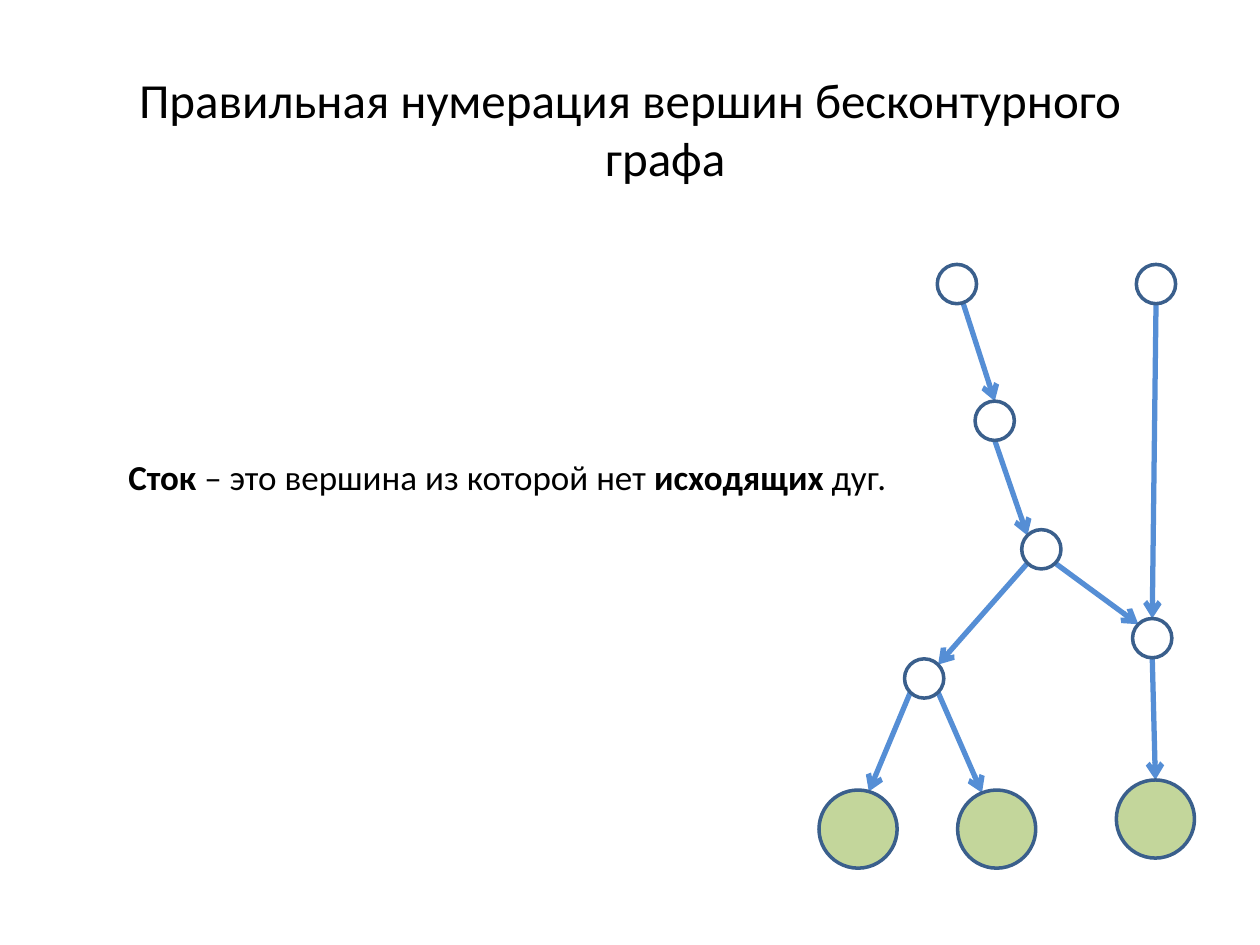
from math import cos, radians, sin

from pptx import Presentation
from pptx.dml.color import RGBColor
from pptx.enum.shapes import MSO_CONNECTOR, MSO_SHAPE
from pptx.enum.text import MSO_ANCHOR, PP_ALIGN
from pptx.oxml.ns import qn
from pptx.util import Inches, Pt
from lxml import etree

STRAIGHT = MSO_CONNECTOR.STRAIGHT
OVAL = MSO_SHAPE.OVAL
MIDDLE = MSO_ANCHOR.MIDDLE
CENTER, LEFT = PP_ALIGN.CENTER, PP_ALIGN.LEFT

THEME = {
    "font": "Calibri",
    "title": Pt(28),
    "body": Pt(20),
    "ink": RGBColor.from_string("000000"),
    "vertex": RGBColor.from_string("FFFFFF"),
    "sink": RGBColor.from_string("C3D69B"),
    "outline": RGBColor.from_string("3A5F8C"),
    "arc": RGBColor.from_string("558ED5"),
    "outline_width": Pt(2),
    "arc_width": Pt(3),
}

deck = Presentation()
deck.slide_width, deck.slide_height = Inches(10), Inches(7.5)
page = deck.slides.add_slide(deck.slide_layouts[6])

# Grid of 100 columns by 75 rows
CELL = deck.slide_width / 100


def grid(*cells):
    return [round(cell * CELL) for cell in cells]


def add_text(place, parts, size, align):
    """Write one paragraph from (text, bold) parts and return it."""
    box = page.shapes.add_textbox(*grid(*place))
    frame = box.text_frame
    frame.word_wrap = True
    frame.vertical_anchor = MIDDLE
    para = frame.paragraphs[0]
    para.alignment = align
    for text, bold in parts:
        span = para.add_run()
        span.text = text
        span.font.name = THEME["font"]
        span.font.size = size
        span.font.bold = bold
        span.font.color.rgb = THEME["ink"]
    return para


# Title with a hanging indent
title = add_text((7.5, 2.1, 85, 16.1),
                 [("Правильная нумерация вершин бесконтурного графа", False)],
                 THEME["title"], CENTER)
indent = grid(5.6)[0]
properties = title._p.get_or_add_pPr()
properties.set("marL", str(indent))
properties.set("indent", str(-indent))

# Vertices: centre column, centre row, radius
SMALL, LARGE = 1.56, 3.1
vertices = {
    "left source": (75.95, 22.55, SMALL),
    "right source": (91.75, 22.55, SMALL),
    "upper": (78.95, 33.4, SMALL),
    "fork": (82.65, 43.6, SMALL),
    "lower": (73.35, 53.85, SMALL),
    "join": (91.45, 50.65, SMALL),
    "left sink": (68.1, 65.8, LARGE),
    "middle sink": (79.1, 65.8, LARGE),
    "right sink": (91.7, 65, LARGE),
}

# Arcs: start vertex and angle, end vertex and angle (clockwise from the right)
arcs = [
    ("left source", 72, "upper", 270),
    ("upper", 90, "fork", 225),
    ("fork", 135, "lower", 315),
    ("fork", 45, "join", 225),
    ("right source", 90, "join", 270),
    ("lower", 135, "left sink", 286),
    ("lower", 45, "middle sink", 248),
    ("join", 90, "right sink", 270),
]
for start, start_angle, end, end_angle in arcs:
    ends = []
    for name, angle in ((start, start_angle), (end, end_angle)):
        column, row, radius = vertices[name]
        ends += [column + radius * cos(radians(angle)),
                 row + radius * sin(radians(angle))]
    arc = page.shapes.add_connector(STRAIGHT, *grid(*ends))
    arc.line.color.rgb = THEME["arc"]
    arc.line.width = THEME["arc_width"]
    etree.SubElement(arc.line._get_or_add_ln(), qn("a:tailEnd"), type="arrow")
    etree.SubElement(arc._element.spPr, qn("a:effectLst"))

# Vertex circles, with the sinks large and green
for column, row, radius in vertices.values():
    circle = page.shapes.add_shape(
        OVAL, *grid(column - radius, row - radius, 2 * radius, 2 * radius))
    circle.shadow.inherit = False
    circle.fill.solid()
    circle.fill.fore_color.rgb = THEME["sink" if radius == LARGE else "vertex"]
    circle.line.color.rgb = THEME["outline"]
    circle.line.width = THEME["outline_width"]

# Definition of a sink
add_text((9.2, 21.7, 85, 32.3),
         [("Сток", True), (" – это вершина из которой нет ", False),
          ("исходящих", True), (" дуг.", False)],
         THEME["body"], LEFT)

deck.save("out.pptx")
